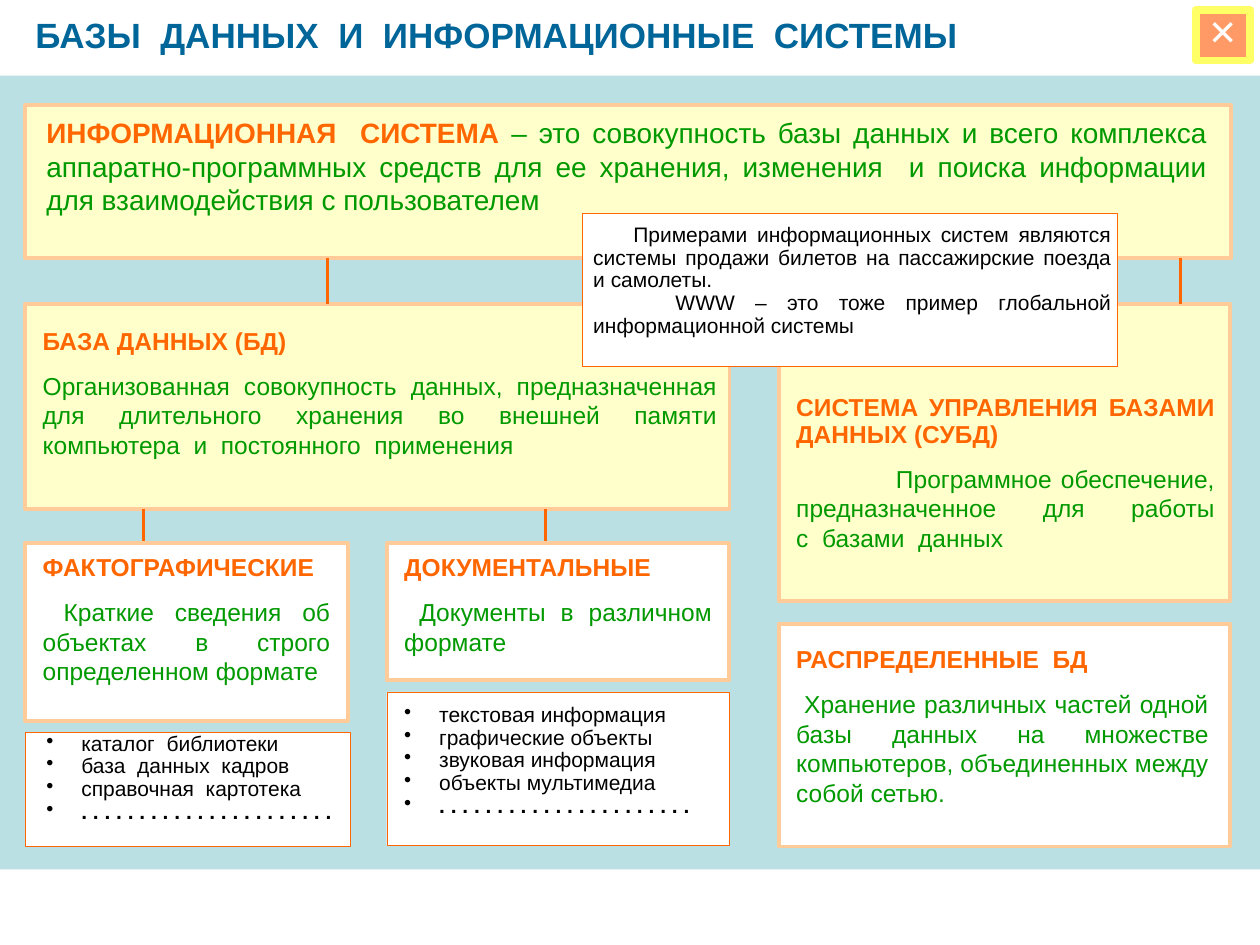
from pptx import Presentation
from pptx.dml.color import RGBColor
from pptx.enum.shapes import MSO_CONNECTOR, MSO_SHAPE
from pptx.enum.text import MSO_ANCHOR, PP_ALIGN
from pptx.oxml.xmlchemy import OxmlElement
from pptx.util import Pt

WHITE = RGBColor(0xFF, 0xFF, 0xFF)
BLACK = RGBColor(0, 0, 0)
BLUE = RGBColor(0x00, 0x66, 0x99)
ORANGE = RGBColor(0xFF, 0x66, 0x00)
GREEN = RGBColor(0x00, 0x99, 0x00)
CREAM = RGBColor(0xFF, 0xFF, 0xCC)
PEACH = RGBColor(0xFF, 0xCC, 0x99)
AQUA = RGBColor(0xBB, 0xE0, 0xE3)
SALMON = RGBColor(0xFF, 0x99, 0x66)
YELLOW = RGBColor(0xFF, 0xFF, 0x66)

LEFT, MIDDLE, RIGHT = 14.4, 221, 445
DOTS = " ".join("." * 22)


def add_text(p, text, size=14, color=BLACK, bold=False, align=PP_ALIGN.JUSTIFY,
             spacing=1.0, before=0, indent=0, bullet=False):
    """Add formatted text to a paragraph, with line breaks at newlines."""
    p.alignment, p.line_spacing, p.space_before = align, spacing, Pt(before)
    pPr = p._p.get_or_add_pPr()
    if bullet:
        pPr.set("marL", str(Pt(20)))
        pPr.set("indent", str(Pt(-20)))
        bu = OxmlElement("a:buChar")
        bu.set("char", "•")
        pPr.append(bu)
    elif indent:
        pPr.set("indent", str(Pt(indent)))
    for i, line in enumerate(text.split("\n")):
        if i:
            p.add_line_break()
        r = p.add_run()
        r.text = line
        r.font.name, r.font.size, r.font.bold = "Arial", Pt(size), bold
        r.font.color.rgb = color


def add_box(s, box, fill, line=None, width=2.25):
    """Draw a flat rectangle."""
    sp = s.shapes.add_shape(MSO_SHAPE.RECTANGLE, *map(Pt, box))
    sp.shadow.inherit = False
    sp.fill.solid()
    sp.fill.fore_color.rgb = fill
    if line is None:
        sp.line.fill.background()
    else:
        sp.line.color.rgb, sp.line.width = line, Pt(width)
    return sp


def add_paragraphs(s, box, inset, paragraphs):
    """Place a text box inside a box, inset by left, top, right and bottom."""
    x, y, w, h = box
    left, top, right, bottom = inset
    tb = s.shapes.add_textbox(Pt(x + left), Pt(y + top),
                              Pt(w - left - right), Pt(h - top - bottom))
    tf = tb.text_frame
    tf.word_wrap = True
    for i, (text, fmt) in enumerate(paragraphs):
        add_text(tf.add_paragraph() if i else tf.paragraphs[0], text, **fmt)
    return tf


def add_title(s, box, text):
    """Format the title placeholder in the given box."""
    sp = s.shapes.title
    sp.left, sp.top, sp.width, sp.height = map(Pt, box)
    sp.text_frame.vertical_anchor = MSO_ANCHOR.TOP
    add_text(sp.text_frame.paragraphs[0], text, size=20, color=BLUE, bold=True,
             align=PP_ALIGN.LEFT)


def add_close_button(s, box):
    """Draw the close button."""
    tf = add_box(s, box, SALMON, YELLOW, 4.5).text_frame
    tf.word_wrap, tf.vertical_anchor = False, MSO_ANCHOR.MIDDLE
    add_text(tf.paragraphs[0], "✕", size=20, color=WHITE, bold=True,
             align=PP_ALIGN.CENTER, spacing=0.8)


def add_system(s, box, term, meaning):
    """Draw the wide panel with a term and its meaning in one paragraph."""
    add_box(s, box, CREAM, PEACH)
    tf = add_paragraphs(s, box, (5, 2.8, 6.5, 20),
                        [(term, dict(size=16, color=ORANGE, bold=True))])
    add_text(tf.paragraphs[0], meaning, size=16, color=GREEN)


def add_definition(s, box, inset, fill, heading, body, indent=0, spacing=0.9):
    """Draw a panel with an orange heading and a green definition."""
    add_box(s, box, fill, PEACH)
    add_paragraphs(s, box, inset, [
        (heading, dict(color=ORANGE, bold=True, spacing=spacing)),
        (body, dict(color=GREEN, before=8.8, indent=indent))])


def add_examples(s, box, inset, items):
    """Draw a thin-lined box with a bulleted list that ends in dots."""
    add_box(s, box, WHITE, ORANGE, 0.25)
    fmt = dict(size=12, spacing=0.9, bullet=True)
    add_paragraphs(s, box, inset, [(item, fmt) for item in items]
                   + [(DOTS, dict(fmt, bold=True))])


def add_callout(s, box, paragraphs):
    """Draw the note that lies over the panels."""
    add_box(s, box, WHITE, ORANGE, 0.25)
    add_paragraphs(s, box, (-0.7, 2.9, -3.6, 12), [
        (text, dict(size=12, spacing=0.9, indent=indent))
        for text, indent in paragraphs])


def add_link(s, x, top, bottom):
    """Draw a vertical line between two panels."""
    cn = s.shapes.add_connector(MSO_CONNECTOR.STRAIGHT,
                                Pt(x), Pt(top), Pt(x), Pt(bottom))
    cn.line.color.rgb, cn.line.width = ORANGE, Pt(1.5)
    cn._element.spPr.append(OxmlElement("a:effectLst"))


def build():
    """Build the slide and save it."""
    prs = Presentation()
    prs.slide_width, prs.slide_height = Pt(720), Pt(540)
    s = prs.slides.add_slide(prs.slide_layouts[5])
    add_title(s, (13, 4.3, 661.7, 31.7),
              "БАЗЫ  ДАННЫХ  И  ИНФОРМАЦИОННЫЕ  СИСТЕМЫ")
    add_close_button(s, (683.3, 5.8, 31, 28.8))
    add_box(s, (0, 43.2, 720, 453.6), AQUA)

    add_system(s, (LEFT, 59.8, 689, 87.8), "ИНФОРМАЦИОННАЯ  СИСТЕМА ",
               "– это совокупность базы данных и всего комплекса "
               "аппаратно-программных средств для ее хранения, изменения  "
               "и поиска информации для взаимодействия с пользователем")
    add_definition(s, (LEFT, 173.5, 402.5, 117.4), (2.9, 9.4, 0, 24), CREAM,
                   "БАЗА ДАННЫХ (БД)",
                   "Организованная совокупность данных, предназначенная для "
                   "длительного хранения во внешней памяти компьютера  и  "
                   "постоянного  применения", spacing=1.0)
    add_definition(s, (RIGHT, 173.5, 257.8, 170), (2.9, 49, 1.5, 24), CREAM,
                   "СИСТЕМА УПРАВЛЕНИЯ БАЗАМИ ДАННЫХ (СУБД)",
                   "Программное обеспечение, предназначенное для работы\n"
                   "с  базами  данных", indent=57)
    for x, top, bottom in ((187.2, 147.6, 173.5), (674.6, 147.6, 173.5),
                           (82.1, 290.9, 323.3), (311.8, 290.9, 323.3)):
        add_link(s, x, top, bottom)
    add_callout(s, (332.6, 121.7, 306, 87.8), [
        ("Примерами информационных систем являются системы продажи билетов "
         "на пассажирские поезда и самолеты.", 22.9),
        ("WWW – это тоже пример глобальной информационной системы", 47)])

    add_definition(s, (LEFT, 310.3, 184.3, 101.5), (2.9, 3.6, 2.9, 16), WHITE,
                   "ФАКТОГРАФИЧЕСКИЕ",
                   "Краткие сведения об объектах в строго определенном формате",
                   indent=12)
    add_examples(s, (LEFT, 418.3, 185.8, 65.5), (5, -2.9, -3.5, 9.4),
                 ["каталог  библиотеки", "база  данных  кадров",
                  "справочная  картотека"])
    add_definition(s, (MIDDLE, 310.3, 195.8, 78.5), (2.9, 3.6, 2.9, 10), WHITE,
                   "ДОКУМЕНТАЛЬНЫЕ", "Документы в различном формате",
                   indent=8.6)
    add_examples(s, (MIDDLE, 395.3, 195.8, 87.8), (2.9, 3.6, 8.6, 12),
                 ["текстовая информация", "графические объекты",
                  "звуковая информация", "объекты мультимедиа"])
    add_definition(s, (RIGHT, 356.4, 257.8, 127.4), (2.9, 10, 5, 19), WHITE,
                   "РАСПРЕДЕЛЕННЫЕ  БД",
                   "Хранение различных частей одной базы данных на множестве "
                   "компьютеров, объединенных между собой сетью.", indent=4.6)
    prs.save("out.pptx")


build()
